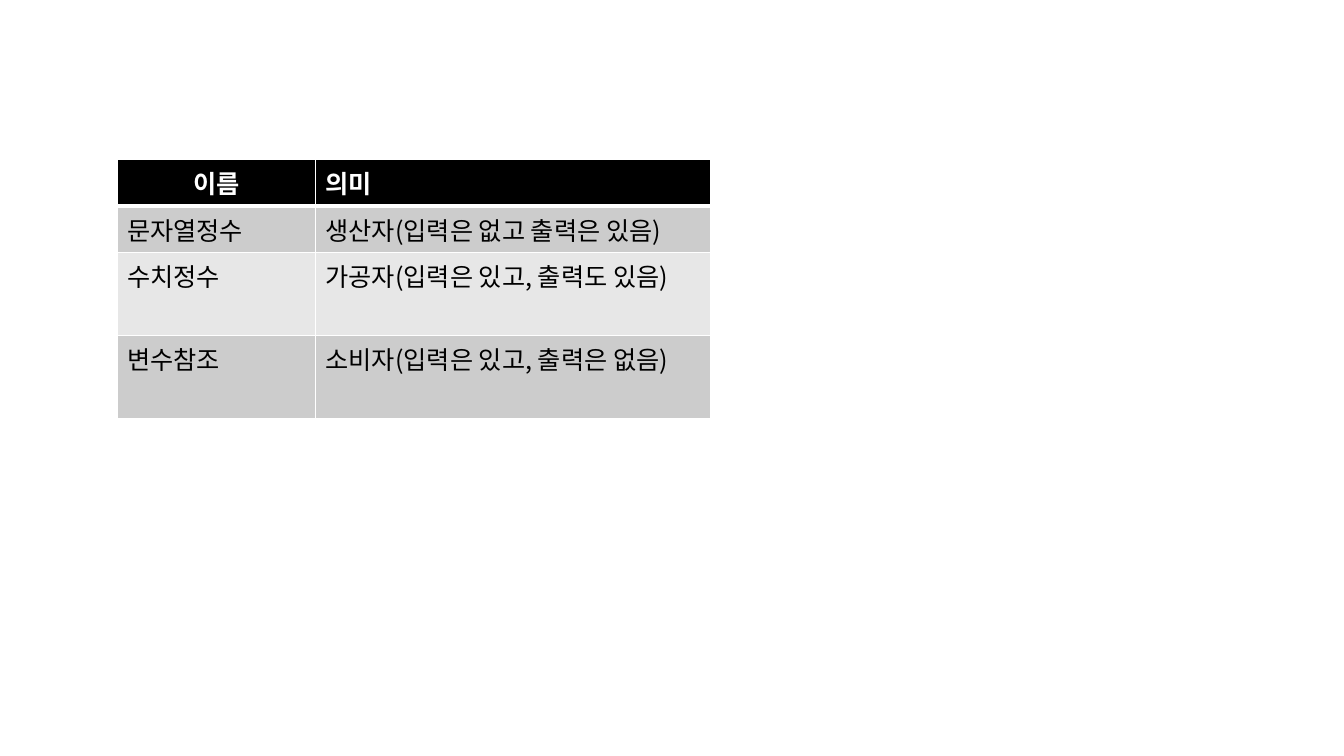
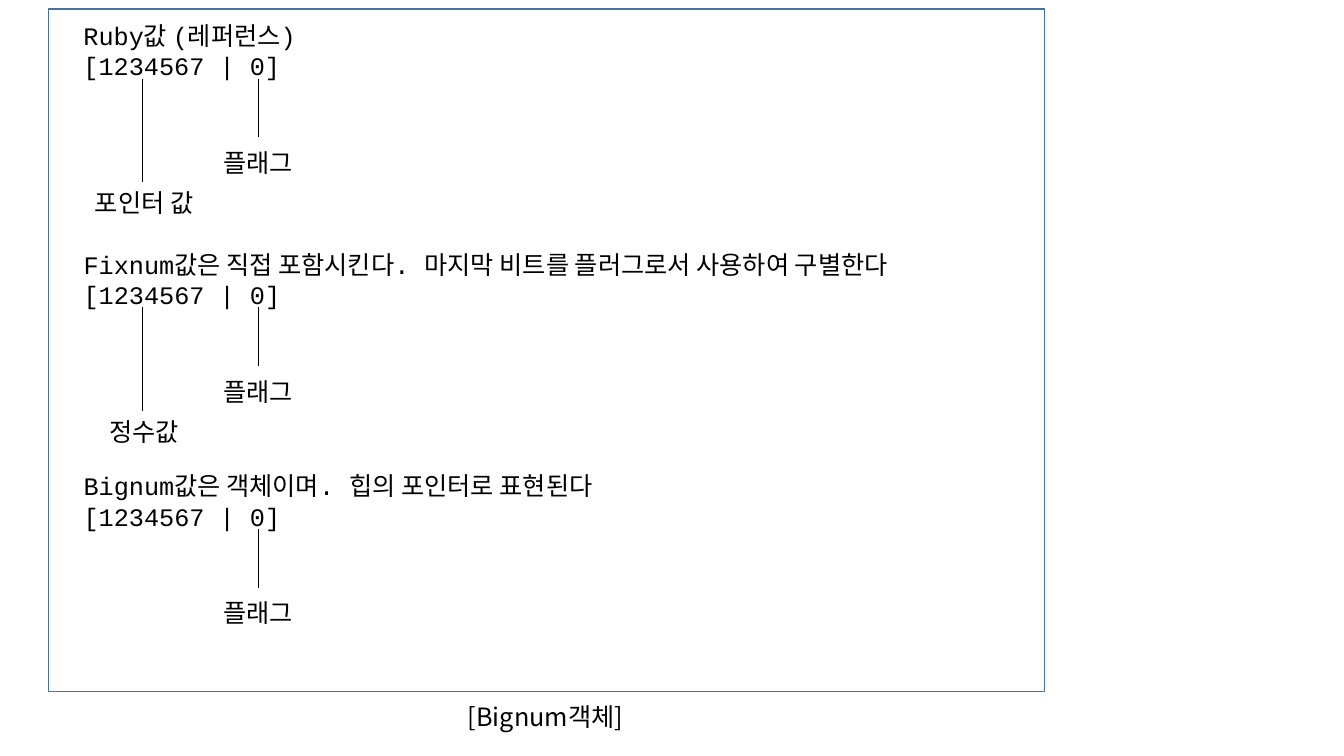
from dataclasses import dataclass

from lxml import etree
from pptx import Presentation
from pptx.dml.color import RGBColor
from pptx.enum.shapes import MSO_CONNECTOR, MSO_SHAPE
from pptx.enum.text import MSO_AUTO_SIZE, PP_ALIGN
from pptx.oxml.ns import qn
from pptx.util import Emu, Pt

LEFT, CENTER = PP_ALIGN.LEFT, PP_ALIGN.CENTER
GROW = MSO_AUTO_SIZE.SHAPE_TO_FIT_TEXT
STRAIGHT = MSO_CONNECTOR.STRAIGHT
RECTANGLE = MSO_SHAPE.RECTANGLE

PX = 9144  # 100 px to the inch


@dataclass(frozen=True)
class Theme:
    text: str = "000000"
    inverse: str = "FFFFFF"
    header: str = "000000"
    bands: tuple = ("CCCCCC", "E7E7E7")
    frame: str = "43739E"
    size: int = 18
    thin: float = 0.5
    rule: int = 1
    header_rule: int = 3
    korean: str = "Noto Sans CJK KR"
    code: str = "Courier New"
    label: str = "Roboto"


THEME = Theme()

TABLE_ROWS = [
    ("이름", "의미"),
    ("문자열정수", "생산자(입력은 없고 출력은 있음)"),
    ("수치정수", "가공자(입력은 있고, 출력도 있음)"),
    ("변수참조", "소비자(입력은 있고, 출력은 없음)"),
]

# Top, width, heading and label of the value part
VALUES = [
    (15, 247, "Ruby값 (레퍼런스)", "포인터 값"),
    (242, 948, "Fixnum값은 직접 포함시킨다. 마지막 비트를 플러그로서 사용하여 구별한다", "정수값"),
    (462, 948, "Bignum값은 객체이며. 힙의 포인터로 표현된다", None),
]
BITS = "[1234567 | 0]"


def px(*lengths):
    return [Emu(length * PX) for length in lengths]


# Text
def style_text(frame, font, color=THEME.text, align=LEFT, bold=False):
    for para in frame.paragraphs:
        para.alignment = align
        for span in para.runs:
            span.font.size = Pt(THEME.size)
            span.font.bold = bold
            span.font.color.rgb = RGBColor.from_string(color)
            span.font.name = font
            east_asian = etree.SubElement(span.font._element, qn("a:ea"))
            east_asian.set("typeface", THEME.korean)


def add_text(page, left, top, width, height, text, font, align=LEFT):
    box = page.shapes.add_textbox(*px(left, top, width, height))
    frame = box.text_frame
    frame.word_wrap = True
    frame.auto_size = GROW
    frame.text = text
    style_text(frame, font, align=align)


# Lines and frames
def add_vertical_line(page, x, top, length):
    line = page.shapes.add_connector(STRAIGHT, *px(x, top, x, top + length))
    line.line.color.rgb = RGBColor.from_string(THEME.text)
    line.line.width = Pt(THEME.thin)
    etree.SubElement(line._element.spPr, qn("a:effectLst"))


def add_frame(page, left, top, width, height):
    frame = page.shapes.add_shape(RECTANGLE, *px(left, top, width, height))
    frame.shadow.inherit = False
    frame.fill.background()
    frame.line.color.rgb = RGBColor.from_string(THEME.frame)
    frame.line.width = Pt(THEME.rule)


# Table
def set_borders(cell, top, bottom):
    properties = cell._tc.get_or_add_tcPr()
    widths = {"lnL": THEME.rule, "lnR": THEME.rule, "lnT": top, "lnB": bottom}
    for side, width in widths.items():
        border = etree.SubElement(properties, qn(f"a:{side}"), w=str(Pt(width)))
        fill = etree.SubElement(border, qn("a:solidFill"))
        etree.SubElement(fill, qn("a:srgbClr"), val=THEME.inverse)


def add_table(page, left, top, column_widths, row_height, rows):
    size = px(left, top, sum(column_widths), row_height * len(rows))
    table = page.shapes.add_table(len(rows), len(column_widths), *size).table
    table.horz_banding = False
    for column, width in zip(table.columns, px(*column_widths)):
        column.width = width
    for r, texts in enumerate(rows):
        is_header = r == 0
        fill = THEME.header if is_header else THEME.bands[(r - 1) % 2]
        for c, text in enumerate(texts):
            cell = table.cell(r, c)
            set_borders(cell,
                        THEME.header_rule if r == 1 else THEME.rule,
                        THEME.header_rule if is_header else THEME.rule)
            cell.fill.solid()
            cell.fill.fore_color.rgb = RGBColor.from_string(fill)
            cell.text_frame.text = text
            style_text(cell.text_frame, THEME.korean,
                       THEME.inverse if is_header else THEME.text,
                       CENTER if is_header and c == 0 else LEFT, is_header)


# Value diagram
def add_callout(page, x, top, length, label_left, label_top, label):
    add_vertical_line(page, x, top, length)
    add_text(page, label_left, label_top, 168, 40, label, THEME.label, CENTER)


def add_value(page, top, width, heading, value_label):
    add_text(page, 73, top, width, 101, f"{heading}\n{BITS}", THEME.code)
    line_top = top + 63
    if value_label:
        add_callout(page, 141, line_top, 103, 59, top + 166, value_label)
    add_callout(page, 256, line_top, 58, 172, top + 126, "플래그")


def main():
    deck = Presentation()
    deck.slide_width, deck.slide_height = px(1333, 750)
    blank = deck.slide_layouts[6]

    # Kinds of nodes
    page = deck.slides.add_slide(blank)
    add_table(page, 116, 158, (197, 392), 43, TABLE_ROWS)

    # Value layout
    page = deck.slides.add_slide(blank)
    for value in VALUES:
        add_value(page, *value)
    add_text(page, 371, 691, 340, 40, "[Bignum객체]", THEME.korean, CENTER)
    add_frame(page, 48, 9, 988, 677)

    deck.save("out.pptx")


if __name__ == "__main__":
    main()
